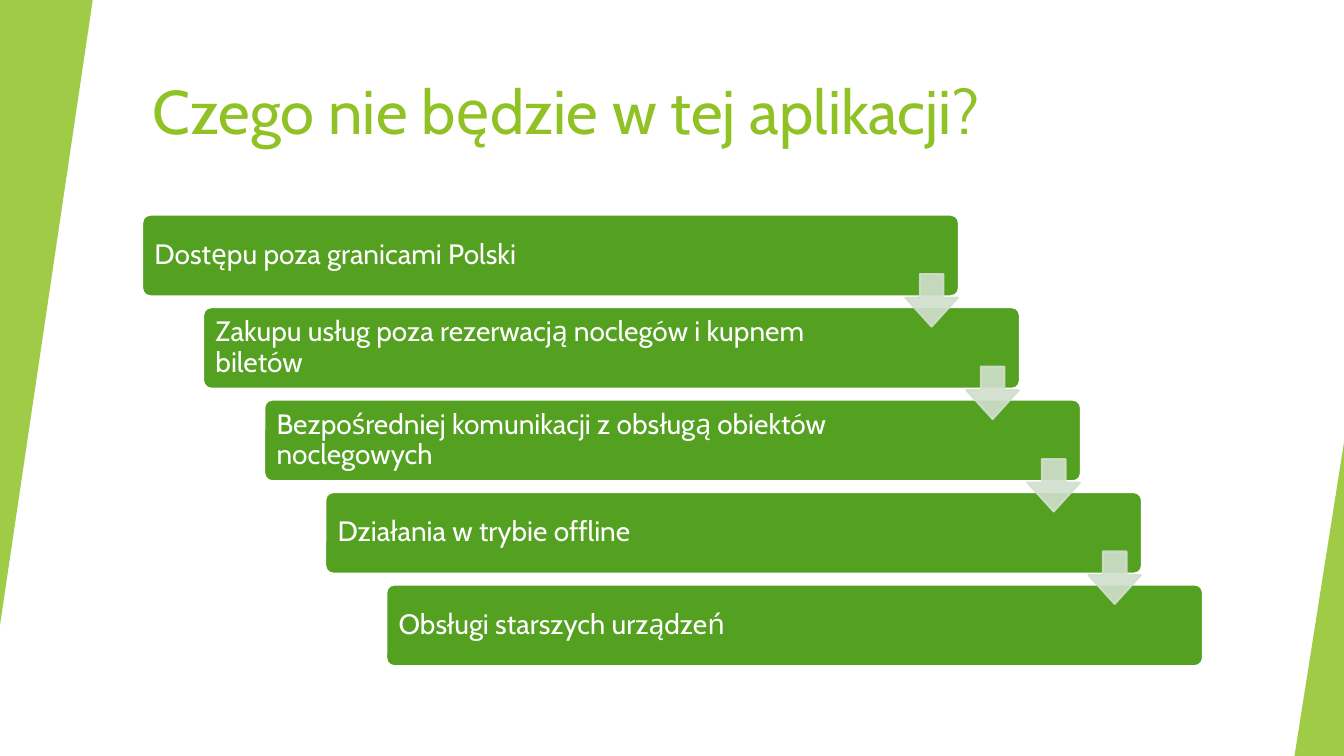
"""Build a slide with a staircase of five bars linked by arrows."""
from dataclasses import dataclass

from lxml import etree
from pptx import Presentation
from pptx import util as u
from pptx.dml import color
from pptx.enum import shapes, text
from pptx.oxml import ns

WIDE, HIGH = u.Inches(13.33), u.Inches(7.5)
FONT, LIME, GREEN, PALE, WHITE = "Cabin", "90C226", "54A021", "D1DFCD", "FFFFFF"
KIND = shapes.MSO_SHAPE
STEP_X, STEP_Y = 4.54, 12.23
ITEMS = (
    "Dostępu poza granicami Polski",
    "Zakupu usług poza rezerwacją noclegów i kupnem biletów",
    "Bezpośredniej komunikacji z obsługą obiektów noclegowych",
    "Działania w trybie offline",
    "Obsługi starszych urządzeń",
)


@dataclass(frozen=True)
class Box:
    """A place given in percent of the slide's width and height."""
    x: float
    y: float
    w: float
    h: float

    def shift(self, n: int) -> "Box":
        """Move the box down n steps of the stairs."""
        return Box(self.x + n * STEP_X, self.y + n * STEP_Y, self.w, self.h)

    def emu(self) -> tuple:
        """Return left, top, width and height in slide units."""
        sides = ((self.x, WIDE), (self.y, HIGH), (self.w, WIDE), (self.h, HIGH))
        return tuple(round(part * full / 100) for part, full in sides)


@dataclass(frozen=True)
class Look:
    """The preset, colours and adjustments of a shape."""
    kind: int
    fill: str
    adj: tuple
    line: str = ""
    alpha: int = 100


TITLE = Box(10.58, 8.93, 83.65, 16)
BAR_BOX = Box(10.58, 28.4, 60.77, 10.8)
ARROW_BOX = Box(67.37, 36.27, 3.9, 6.93)
BAR = Look(KIND.ROUNDED_RECTANGLE, GREEN, (0.1,), WHITE)
ARROW = Look(KIND.DOWN_ARROW, PALE, (0.45, 0.55), PALE, 90)
WEDGE = Look(KIND.ISOSCELES_TRIANGLE, LIME, (1,), "", 85)
EDGES = ((Box(0, 0, 6.9, 82.67), 180), (Box(96.32, 58.53, 3.68, 41.47), 0))


def paint(fill, tone: str, alpha: int = 100) -> None:
    """Fill with a solid colour of the given opacity."""
    fill.solid()
    fill.fore_color.rgb = color.RGBColor.from_string(tone)
    if alpha < 100:
        for node in fill._xPr.iter(ns.qn("a:srgbClr")):
            if node.getparent().getparent() is fill._xPr:
                etree.SubElement(node, ns.qn("a:alpha"), val=str(alpha * 1000))


def draw(slide, box: Box, look: Look):
    """Add one shape to the slide."""
    shape = slide.shapes.add_shape(look.kind, *box.emu())
    shape.shadow.inherit = False
    for i, value in enumerate(look.adj):
        shape.adjustments[i] = value
    paint(shape.fill, look.fill, look.alpha)
    if look.line:
        shape.line.width = u.Pt(1.5)
        paint(shape.line.fill, look.line, look.alpha)
    else:
        shape.line.fill.background()
    return shape


def write(frame, words: str, size: int, tone: str, anchor) -> None:
    """Set one left-aligned paragraph in a text frame."""
    frame.text = words
    frame.word_wrap = True
    frame.auto_size = text.MSO_AUTO_SIZE.NONE
    frame.vertical_anchor = anchor
    para = frame.paragraphs[0]
    para.alignment = text.PP_ALIGN.LEFT
    para.font.name, para.font.size = FONT, u.Pt(size)
    para.font.color.rgb = color.RGBColor.from_string(tone)


def label(bar, words: str) -> None:
    """Write on a bar, leaving room for the arrow at its right."""
    frame = bar.text_frame
    write(frame, words, 20, WHITE, text.MSO_ANCHOR.MIDDLE)
    frame.paragraphs[0].line_spacing = 0.9
    frame.margin_left = frame.margin_top = frame.margin_bottom = u.Inches(0.1)
    frame.margin_right = u.Inches(1.24)


def main() -> None:
    """Build and save the slide."""
    deck = Presentation()
    deck.slide_width, deck.slide_height = WIDE, HIGH
    slide = deck.slides.add_slide(deck.slide_layouts.get_by_name("Title Only"))
    title = slide.shapes.title
    title.left, title.top, title.width, title.height = TITLE.emu()
    write(title.text_frame, "Czego nie będzie w tej aplikacji?", 44, LIME,
          text.MSO_ANCHOR.TOP)
    for box, turn in EDGES:
        draw(slide, box, WEDGE).rotation = turn
    for n, words in enumerate(ITEMS):
        label(draw(slide, BAR_BOX.shift(n), BAR), words)
    for n in range(len(ITEMS) - 1):
        draw(slide, ARROW_BOX.shift(n), ARROW)
    deck.save("out.pptx")


if __name__ == "__main__":
    main()
